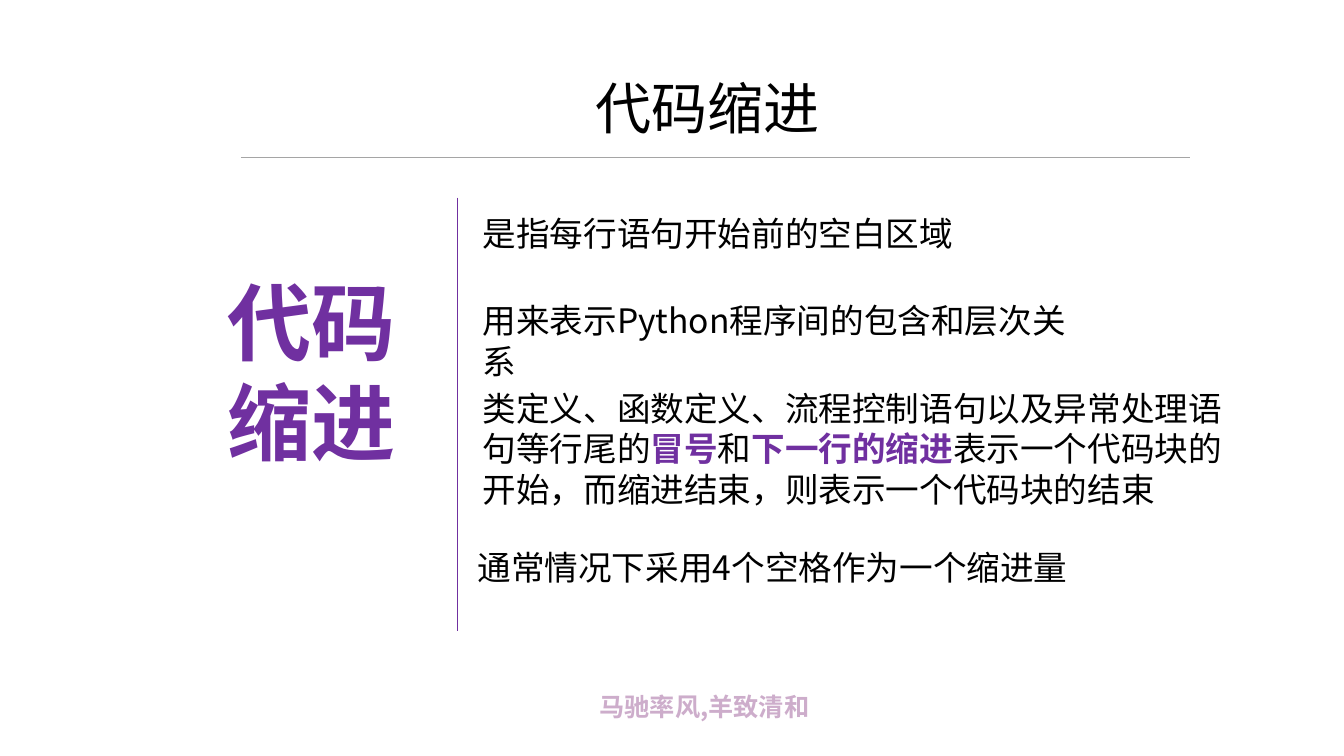
from dataclasses import dataclass

from lxml.etree import SubElement
from pptx import Presentation
from pptx.dml.color import RGBColor
from pptx.enum.shapes import MSO_CONNECTOR
from pptx.enum.text import MSO_ANCHOR, MSO_AUTO_SIZE, PP_ALIGN
from pptx.oxml.ns import qn
from pptx.shapes.base import BaseShape
from pptx.slide import Slide
from pptx.text.text import TextFrame
from pptx.util import Pt

FONT_NAME = "Noto Sans CJK SC"
BLACK = RGBColor(0x00, 0x00, 0x00)
PURPLE = RGBColor(0x70, 0x30, 0xA0)
PALE_PURPLE = RGBColor(0xCD, 0xAD, 0xCB)
GREY = RGBColor(0xA5, 0xA5, 0xA5)


@dataclass(frozen=True)
class Box:
    left: float
    top: float
    width: float
    height: float


@dataclass(frozen=True)
class Point:
    box: Box
    phrases: tuple[str, ...]  # every second phrase is emphasised


@dataclass(frozen=True)
class Rule:
    start: tuple[float, float]
    end: tuple[float, float]
    color: RGBColor
    width: float


TITLE_BOX = Box(418.3, 49, 176.4, 55.4)
KEYWORD_BOX = Box(155.5, 189.4, 191.5, 152.6)
MOTTO_BOX = Box(421.2, 490.3, 204.5, 28.8)

POINTS = (
    Point(Box(337.7, 148.3, 353.5, 36), ("是指每行语句开始前的空白区域",)),
    Point(Box(337.7, 211, 451.4, 36), ("用来表示Python程序间的包含和层次关系",)),
    Point(
        Box(337.7, 273.6, 565.9, 94.3),
        (
            "类定义、函数定义、流程控制语句以及异常处理语句等行尾的",
            "冒号",
            "和",
            "下一行的缩进",
            "表示一个代码块的开始，而缩进结束，则表示一个代码块的结束",
        ),
    ),
    Point(Box(334.1, 387.4, 439.2, 36), ("通常情况下采用4个空格作为一个缩进量",)),
)

RULES = (
    Rule((172.1, 112.3), (850.3, 112.3), GREY, 0.5),
    Rule((326.9, 141.1), (326.9, 450.7), PURPLE, 1),
)


def place(shape: BaseShape, box: Box) -> None:
    shape.left, shape.top = Pt(box.left), Pt(box.top)
    shape.width, shape.height = Pt(box.width), Pt(box.height)


def prepare_frame(frame: TextFrame) -> None:
    frame.word_wrap = True
    frame.auto_size = MSO_AUTO_SIZE.SHAPE_TO_FIT_TEXT
    frame.vertical_anchor = MSO_ANCHOR.TOP
    frame.paragraphs[0].alignment = PP_ALIGN.LEFT


def add_run(frame: TextFrame, text: str, *, size: float,
            color: RGBColor = BLACK, bold: bool = False) -> None:
    run = frame.paragraphs[0].add_run()
    run.text = text
    run.font.size = Pt(size)
    run.font.bold = bold
    run.font.color.rgb = color
    run.font.name = FONT_NAME
    # Chinese characters take the East Asian typeface
    properties = run._r.get_or_add_rPr()
    SubElement(properties, qn("a:ea")).set("typeface", FONT_NAME)


def add_text_box(slide: Slide, box: Box) -> TextFrame:
    shape = slide.shapes.add_textbox(
        Pt(box.left), Pt(box.top), Pt(box.width), Pt(box.height))
    prepare_frame(shape.text_frame)
    return shape.text_frame


def add_point(slide: Slide, point: Point) -> None:
    frame = add_text_box(slide, point.box)
    for index, phrase in enumerate(point.phrases):
        emphasised = index % 2 == 1
        add_run(frame, phrase, size=24, bold=emphasised,
                color=PURPLE if emphasised else BLACK)


def add_rule(slide: Slide, rule: Rule) -> None:
    connector = slide.shapes.add_connector(
        MSO_CONNECTOR.STRAIGHT,
        *(Pt(value) for value in rule.start + rule.end))
    connector.line.color.rgb = rule.color
    connector.line.width = Pt(rule.width)
    SubElement(connector._element.spPr, qn("a:effectLst"))


def main() -> None:
    presentation = Presentation()
    presentation.slide_width, presentation.slide_height = Pt(960), Pt(540)
    slide = presentation.slides.add_slide(presentation.slide_layouts[5])

    # Title
    title = slide.shapes.title
    place(title, TITLE_BOX)
    prepare_frame(title.text_frame)
    add_run(title.text_frame, "代码缩进", size=40)

    # Rules under the title and beside the keyword
    for rule in RULES:
        add_rule(slide, rule)

    # Keyword and its explanations
    add_run(add_text_box(slide, KEYWORD_BOX), "代码缩进",
            size=60, color=PURPLE, bold=True)
    for point in POINTS:
        add_point(slide, point)

    # Motto at the foot
    add_run(add_text_box(slide, MOTTO_BOX), "马驰率风,羊致清和",
            size=18, color=PALE_PURPLE, bold=True)

    presentation.save("out.pptx")


if __name__ == "__main__":
    main()
